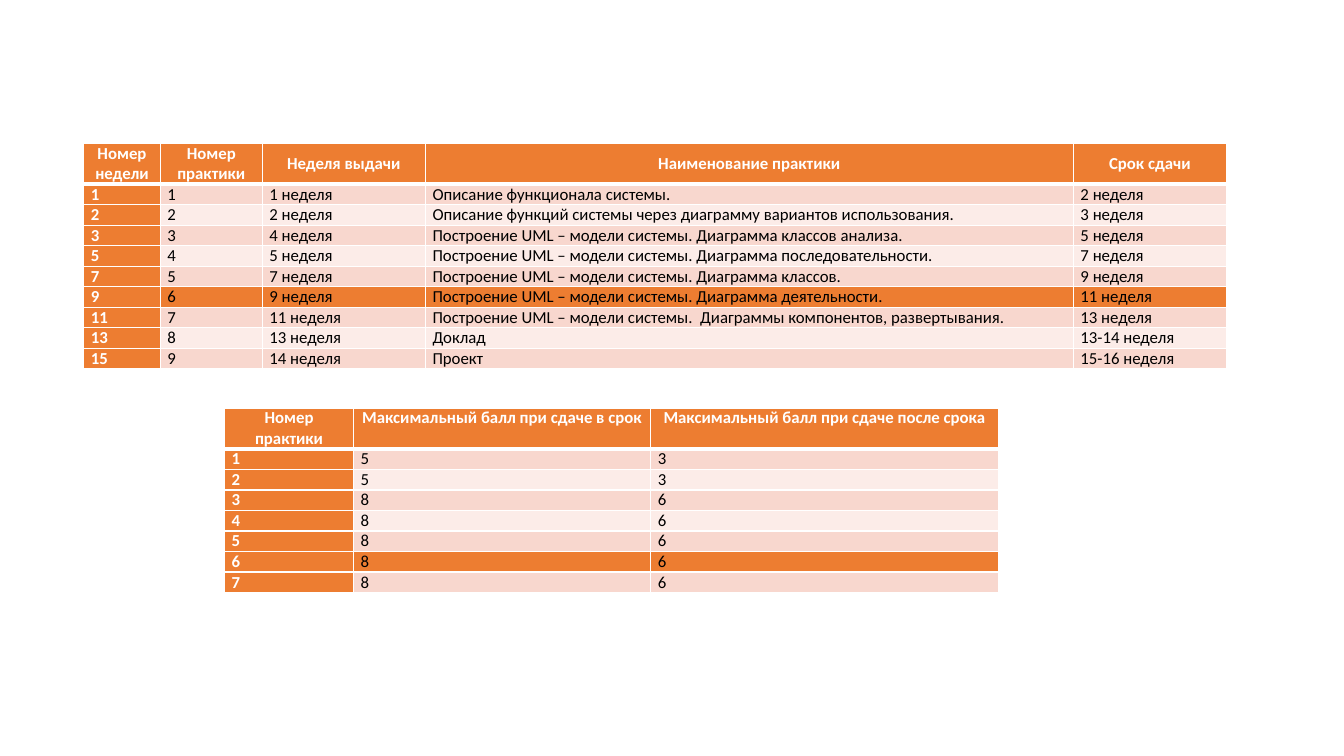
from lxml import etree
from pptx import Presentation
from pptx.dml.color import RGBColor
from pptx.enum.text import MSO_ANCHOR, PP_ALIGN
from pptx.oxml.ns import qn
from pptx.util import Cm, Pt

CENTER, JUSTIFY = PP_ALIGN.CENTER, PP_ALIGN.JUSTIFY
TOP, MIDDLE = MSO_ANCHOR.TOP, MSO_ANCHOR.MIDDLE

ORANGE, PEACH, PALE = "ED7D31", "F8D7CE", "FCECE8"
WHITE, BLACK = "FFFFFF", "000000"
HEADER_HEIGHT, ROW_HEIGHT = Cm(1.02), Cm(0.51)
CURRENT_PRACTICE = 6  # highlighted row in both tables

MARGINS = {"margin_left": Cm(0.18), "margin_right": Cm(0.18),
           "margin_top": 0, "margin_bottom": 0}
FONT = {"name": "Calibri", "size": Pt(12)}

SCHEDULE = [
    ("Номер недели", "Номер практики", "Неделя выдачи",
     "Наименование практики", "Срок сдачи"),
    ("1", "1", "1 неделя", "Описание функционала системы.", "2 неделя"),
    ("2", "2", "2 неделя",
     "Описание функций системы через диаграмму вариантов использования.",
     "3 неделя"),
    ("3", "3", "4 неделя",
     "Построение UML – модели системы. Диаграмма классов анализа.",
     "5 неделя"),
    ("5", "4", "5 неделя",
     "Построение UML – модели системы. Диаграмма последовательности.",
     "7 неделя"),
    ("7", "5", "7 неделя",
     "Построение UML – модели системы. Диаграмма классов.", "9 неделя"),
    ("9", "6", "9 неделя",
     "Построение UML – модели системы. Диаграмма деятельности.",
     "11 неделя"),
    ("11", "7", "11 неделя",
     "Построение UML – модели системы.  Диаграммы компонентов, развертывания.",
     "13 неделя"),
    ("13", "8", "13 неделя", "Доклад", "13-14 неделя"),
    ("15", "9", "14 неделя", "Проект", "15-16 неделя"),
]
SCORES = [
    ("Номер практики", "Максимальный балл при сдаче в срок",
     "Максимальный балл при сдаче после срока"),
    ("1", "5", "3"),
    ("2", "5", "3"),
    ("3", "8", "6"),
    ("4", "8", "6"),
    ("5", "8", "6"),
    ("6", "8", "6"),
    ("7", "8", "6"),
]


def color(hex_code):
    return RGBColor.from_string(hex_code)


def apply_format(target, values):
    for attribute, value in values.items():
        setattr(target, attribute, value)


def add_borders(cell, widths):
    """Draw white borders; widths maps a side (L, R, T, B) to points."""
    properties = cell._tc.get_or_add_tcPr()
    for side, width in widths.items():
        line = etree.SubElement(properties, qn(f"a:ln{side}"), w=str(Pt(width)))
        fill = etree.SubElement(line, qn("a:solidFill"))
        etree.SubElement(fill, qn("a:srgbClr"), val=WHITE)


def cell_fill(row, column):
    if row in (0, CURRENT_PRACTICE) or column == 0:
        return ORANGE
    return PEACH if row % 2 else PALE


def format_cell(cell, text, row, column, header_anchor):
    is_header = row == 0
    is_heading = is_header or column == 0

    # Borders and fill
    add_borders(cell, {"L": 1, "R": 1, "T": 3 if row == 1 else 1,
                       "B": 3 if is_header else 1})
    cell.fill.solid()
    cell.fill.fore_color.rgb = color(cell_fill(row, column))

    # Text
    cell.text = text
    apply_format(cell, MARGINS)
    cell.vertical_anchor = header_anchor if is_header else TOP
    paragraph = cell.text_frame.paragraphs[0]
    paragraph.alignment = CENTER if is_header else JUSTIFY
    font = paragraph.runs[0].font
    apply_format(font, {**FONT, "bold": is_heading})
    font.color.rgb = color(WHITE if is_heading else BLACK)


def add_practice_table(slide, records, left, top, widths, header_anchor):
    height = HEADER_HEIGHT + ROW_HEIGHT * (len(records) - 1)
    table = slide.shapes.add_table(len(records), len(widths), Cm(left), Cm(top),
                                   Cm(sum(widths)), height).table
    table.first_col = True
    for column, width in zip(table.columns, widths):
        column.width = Cm(width)
    for row, record in enumerate(records):
        table.rows[row].height = ROW_HEIGHT if row else HEADER_HEIGHT
        for column, text in enumerate(record):
            format_cell(table.cell(row, column), text, row, column, header_anchor)


def main():
    presentation = Presentation()
    presentation.slide_width, presentation.slide_height = Cm(33.87), Cm(19.05)
    slide = presentation.slides.add_slide(presentation.slide_layouts[6])

    # Practice schedule
    add_practice_table(slide, SCHEDULE, 2.11, 3.61,
                       (1.93, 2.57, 4.11, 16.33, 3.86), MIDDLE)
    # Maximum scores
    add_practice_table(slide, SCORES, 5.66, 10.28, (3.25, 7.49, 8.76), TOP)

    presentation.save("out.pptx")


if __name__ == "__main__":
    main()
